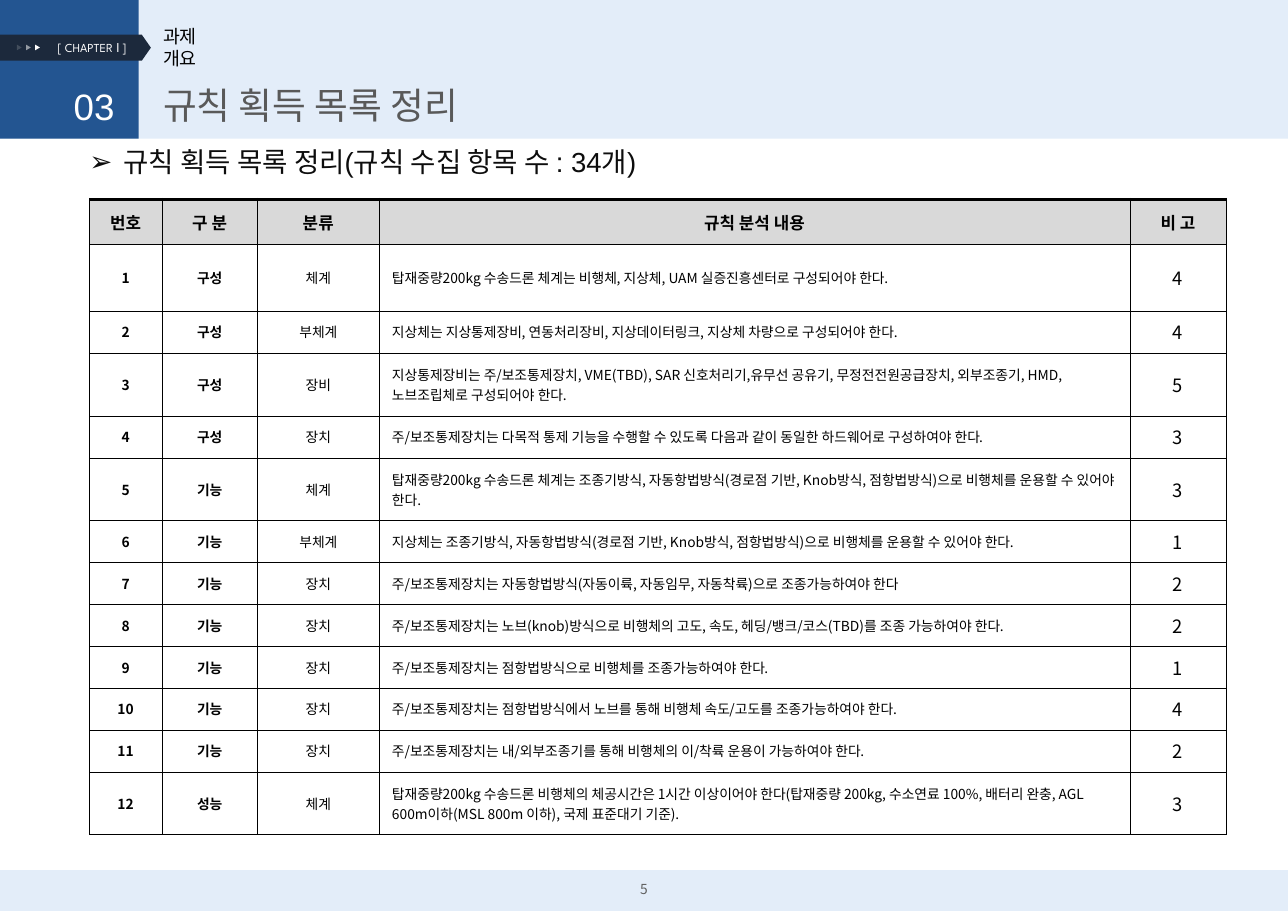
"""Build the rule acquisition list slide with its chapter header and table."""
from dataclasses import dataclass

from lxml.etree import SubElement
from pptx import Presentation
from pptx.dml.color import RGBColor
from pptx.enum.shapes import MSO_SHAPE
from pptx.enum.text import MSO_ANCHOR, PP_ALIGN
from pptx.oxml.ns import qn
from pptx.util import Cm, Pt


@dataclass(frozen=True)
class Theme:
    band: str = "E3EDF9"
    corner: str = "235591"
    ribbon: str = "1C293C"
    white: str = "FFFFFF"
    black: str = "000000"
    title: str = "595959"
    subtitle: str = "0D0D0D"
    page: str = "5F5F5F"
    header: str = "D9D9D9"
    sans: str = "Noto Sans CJK KR"
    heading: str = "Arial"
    label: str = "League Spartan"
    title_size: float = 24
    subtitle_size: float = 18
    mark_size: float = 12
    header_size: float = 11
    body_size: float = 9
    label_size: float = 8
    thin: float = 0.25
    thick: float = 2.55


THEME = Theme()
PAGE_WIDTH, PAGE_HEIGHT = 29.7, 21.0
BAND_HEIGHT, FOOTER_TOP = 3.2, 20.06

CHAPTER = [("[ CHAPTER ", THEME.label), ("I ", THEME.sans), ("]", THEME.label)]
SECTION = "과제 개요"
NUMBER = "03"
TITLE = "규칙 획득 목록 정리"
SUBTITLE = "규칙 획득 목록 정리(규칙 수집 항목 수 : 34개)"
PAGE = "5"
ARROW_OPACITIES = [17, 53, 100]

HEADERS = ["번호", "구 분", "분류", "규칙 분석 내용", "비 고"]
COLUMN_WIDTHS = [1.67, 2.21, 2.8, 17.32, 2.21]
HEADER_HEIGHT = 1.02
FIRST, SINGLE, DOUBLE = 1.55, 0.965, 1.45
RULES = [
    (FIRST, "구성", "체계", "탑재중량200kg 수송드론 체계는 비행체, 지상체, UAM 실증진흥센터로 구성되어야 한다.", 4),
    (SINGLE, "구성", "부체계", "지상체는 지상통제장비, 연동처리장비, 지상데이터링크, 지상체 차량으로 구성되어야 한다.", 4),
    (DOUBLE, "구성", "장비", "지상통제장비는 주/보조통제장치, VME(TBD), SAR 신호처리기,유무선 공유기, "
     "무정전전원공급장치, 외부조종기, HMD, 노브조립체로 구성되어야 한다.", 5),
    (SINGLE, "구성", "장치", "주/보조통제장치는 다목적 통제 기능을 수행할 수 있도록 다음과 같이 "
     "동일한 하드웨어로 구성하여야 한다.", 3),
    (DOUBLE, "기능", "체계", "탑재중량200kg 수송드론 체계는 조종기방식, 자동항법방식(경로점 기반, Knob방식, "
     "점항법방식)으로 비행체를 운용할 수 있어야 한다.", 3),
    (SINGLE, "기능", "부체계", "지상체는 조종기방식, 자동항법방식(경로점 기반, Knob방식, 점항법방식)으로 "
     "비행체를 운용할 수 있어야 한다.", 1),
    (SINGLE, "기능", "장치", "주/보조통제장치는 자동항법방식(자동이륙, 자동임무, 자동착륙)으로 조종가능하여야 한다", 2),
    (SINGLE, "기능", "장치", "주/보조통제장치는 노브(knob)방식으로 비행체의 고도, 속도, "
     "헤딩/뱅크/코스(TBD)를 조종 가능하여야 한다.", 2),
    (SINGLE, "기능", "장치", "주/보조통제장치는 점항법방식으로 비행체를 조종가능하여야 한다.", 1),
    (SINGLE, "기능", "장치", "주/보조통제장치는 점항법방식에서 노브를 통해 비행체 속도/고도를 조종가능하여야 한다.", 4),
    (SINGLE, "기능", "장치", "주/보조통제장치는 내/외부조종기를 통해 비행체의 이/착륙 운용이 가능하여야 한다.", 2),
    (DOUBLE, "성능", "체계", "탑재중량200kg 수송드론 비행체의 체공시간은 1시간 이상이어야 한다(탑재중량 200kg, "
     "수소연료 100%, 배터리 완충, AGL 600m이하(MSL 800m 이하), 국제 표준대기 기준).", 3),
]


def write(frame, text, *, size, color=THEME.black, font=THEME.sans, bold=False,
          align=PP_ALIGN.LEFT, before=0, line=None, tracking=None, bullet=None):
    paragraph = frame.paragraphs[0]
    paragraph.alignment = align
    paragraph.space_before = Pt(before)
    if line:
        paragraph.line_spacing = line
    if bullet:
        props = paragraph._p.get_or_add_pPr()
        props.set("marL", str(Cm(0.79)))
        props.set("indent", str(-Cm(0.79)))
        SubElement(props, qn("a:buFont"), typeface=font)
        SubElement(props, qn("a:buChar"), char=bullet)
    for words, face in [(text, font)] if isinstance(text, str) else text:
        run = paragraph.add_run()
        run.text = words
        run.font.size = Pt(size)
        run.font.bold = bold
        run.font.color.rgb = RGBColor.from_string(color)
        run.font.name = face
        props = run._r.get_or_add_rPr()
        SubElement(props, qn("a:ea"), typeface=THEME.sans)
        if tracking:
            props.set("spc", str(tracking))


def add_text(slide, box, text, *, wrap=True, anchor=MSO_ANCHOR.TOP, **style):
    frame = slide.shapes.add_textbox(*map(Cm, box)).text_frame
    frame.margin_left = frame.margin_right = frame.margin_top = frame.margin_bottom = 0
    frame.word_wrap = wrap
    frame.vertical_anchor = anchor
    write(frame, text, **style)


def add_panel(slide, preset, box, color, opacity=100):
    panel = slide.shapes.add_shape(preset, *map(Cm, box))
    panel.shadow.inherit = False
    panel.line.fill.background()
    panel.fill.solid()
    panel.fill.fore_color.rgb = RGBColor.from_string(color)
    if opacity < 100:
        tint = panel.fill._xPr.find(f".//{qn('a:srgbClr')}")
        SubElement(tint, qn("a:alpha"), val=str(opacity * 1000))
    return panel


def format_cell(cell, text, *, fill=None, top=THEME.thin, left=0.18, **style):
    cell.vertical_anchor = MSO_ANCHOR.MIDDLE
    cell.margin_left, cell.margin_right = Cm(left), Cm(0.18)
    cell.margin_top = cell.margin_bottom = Cm(0.1)
    props = cell._tc.get_or_add_tcPr()
    for side in "LRTB":
        width = top if side == "T" else THEME.thin
        edge = SubElement(props, qn(f"a:ln{side}"), w=str(Pt(width)))
        SubElement(SubElement(edge, qn("a:solidFill")), qn("a:srgbClr"), val=THEME.black)
    if fill:
        cell.fill.solid()
        cell.fill.fore_color.rgb = RGBColor.from_string(fill)
    else:
        cell.fill.background()
    write(cell.text_frame, text, **style)


def add_header(slide):
    add_panel(slide, MSO_SHAPE.RECTANGLE, (0, FOOTER_TOP, PAGE_WIDTH, PAGE_HEIGHT - FOOTER_TOP), THEME.band)
    add_panel(slide, MSO_SHAPE.RECTANGLE, (0, 0, PAGE_WIDTH, BAND_HEIGHT), THEME.band)
    add_panel(slide, MSO_SHAPE.RECTANGLE, (0, 0, BAND_HEIGHT, BAND_HEIGHT), THEME.corner)
    ribbon = add_panel(slide, MSO_SHAPE.PENTAGON, (0, 0.8, 3.48, 0.6), THEME.ribbon)
    ribbon.adjustments[0] = 0.35
    for index, opacity in enumerate(ARROW_OPACITIES):
        arrow = add_panel(slide, MSO_SHAPE.ISOSCELES_TRIANGLE,
                          (0.38 + 0.21 * index, 1.04, 0.13, 0.11), THEME.white, opacity)
        arrow.rotation = 90
    add_text(slide, (1.25, 0.94, 1.75, 0.33), CHAPTER, wrap=False, size=THEME.label_size,
             color=THEME.white, align=PP_ALIGN.CENTER)
    add_text(slide, (3.76, 0.84, 1.3, 0.51), SECTION, anchor=MSO_ANCHOR.MIDDLE,
             size=THEME.mark_size, tracking=-30)
    add_text(slide, (3.76, 1.9, 12, 1.02), TITLE, size=THEME.title_size,
             color=THEME.title, font=THEME.heading)
    add_text(slide, (1.7, 1.93, 1.2, 1.02), NUMBER, size=THEME.title_size,
             color=THEME.white, font=THEME.heading)
    add_text(slide, (2.06, 3.2, 22.1, 0.91), SUBTITLE, size=THEME.subtitle_size,
             color=THEME.subtitle, font=THEME.heading, line=1.2, bullet="➢")
    add_text(slide, (14.05, 20.24, 1.6, 0.53), PAGE, anchor=MSO_ANCHOR.MIDDLE,
             size=THEME.body_size, color=THEME.page, align=PP_ALIGN.CENTER)


def add_rules(slide):
    heights = [HEADER_HEIGHT] + [rule[0] for rule in RULES]
    rules = slide.shapes.add_table(len(heights), len(HEADERS), Cm(2.06), Cm(4.6),
                                   Cm(sum(COLUMN_WIDTHS)), Cm(sum(heights))).table
    rules.horz_banding = False
    for column, width in zip(rules.columns, COLUMN_WIDTHS):
        column.width = Cm(width)
    for row, height in zip(rules.rows, heights):
        row.height = Cm(height)
    for column, header in enumerate(HEADERS):
        format_cell(rules.cell(0, column), header, fill=THEME.header, top=THEME.thick,
                    size=THEME.header_size, bold=True, align=PP_ALIGN.CENTER)
    centred = dict(size=THEME.body_size, align=PP_ALIGN.CENTER)
    styles = [
        dict(centred, bold=True),
        dict(centred, bold=True),
        centred,
        dict(size=THEME.body_size, left=0.3, before=3),
        dict(centred, size=THEME.mark_size),
    ]
    for number, (_, *entries) in enumerate(RULES, 1):
        for column, (entry, style) in enumerate(zip([number, *entries], styles)):
            format_cell(rules.cell(number, column), str(entry), **style)


def main():
    deck = Presentation()
    deck.slide_width, deck.slide_height = Cm(PAGE_WIDTH), Cm(PAGE_HEIGHT)
    slide = deck.slides.add_slide(deck.slide_layouts[6])
    add_header(slide)
    add_rules(slide)
    deck.save("out.pptx")


if __name__ == "__main__":
    main()
